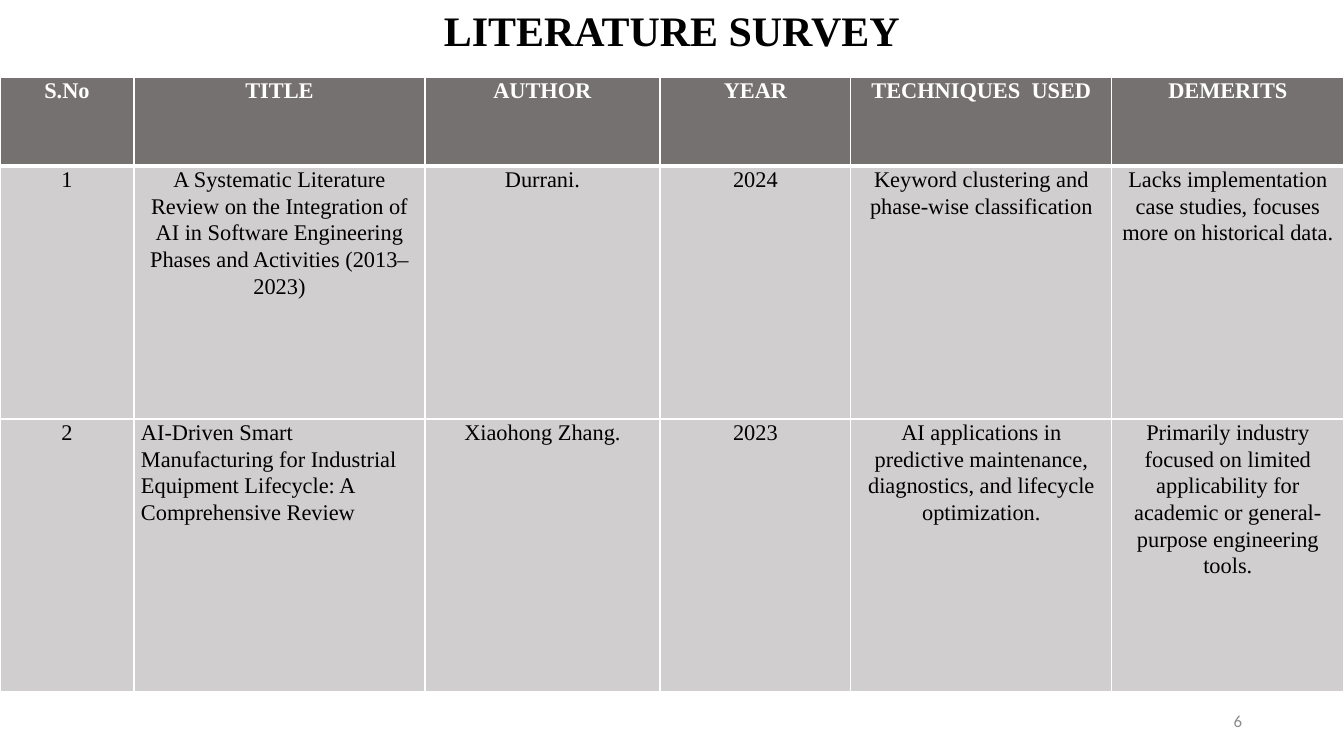
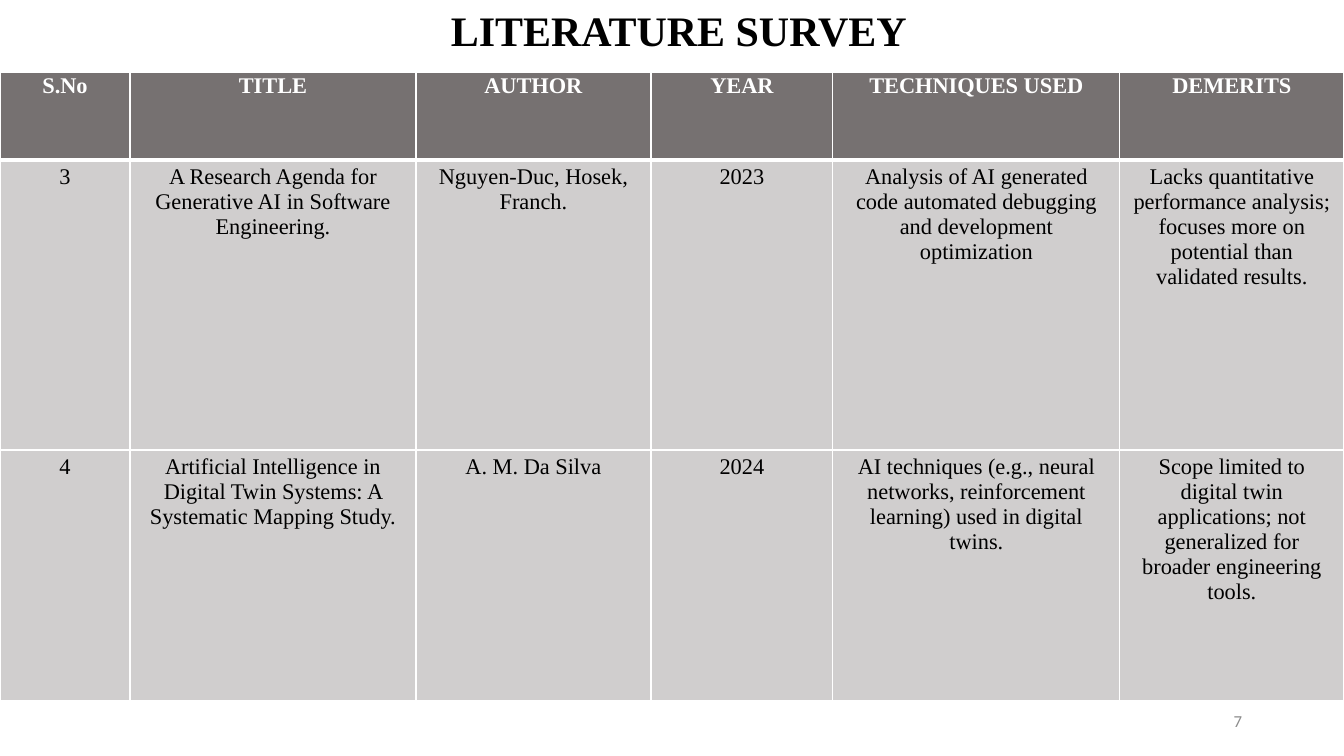
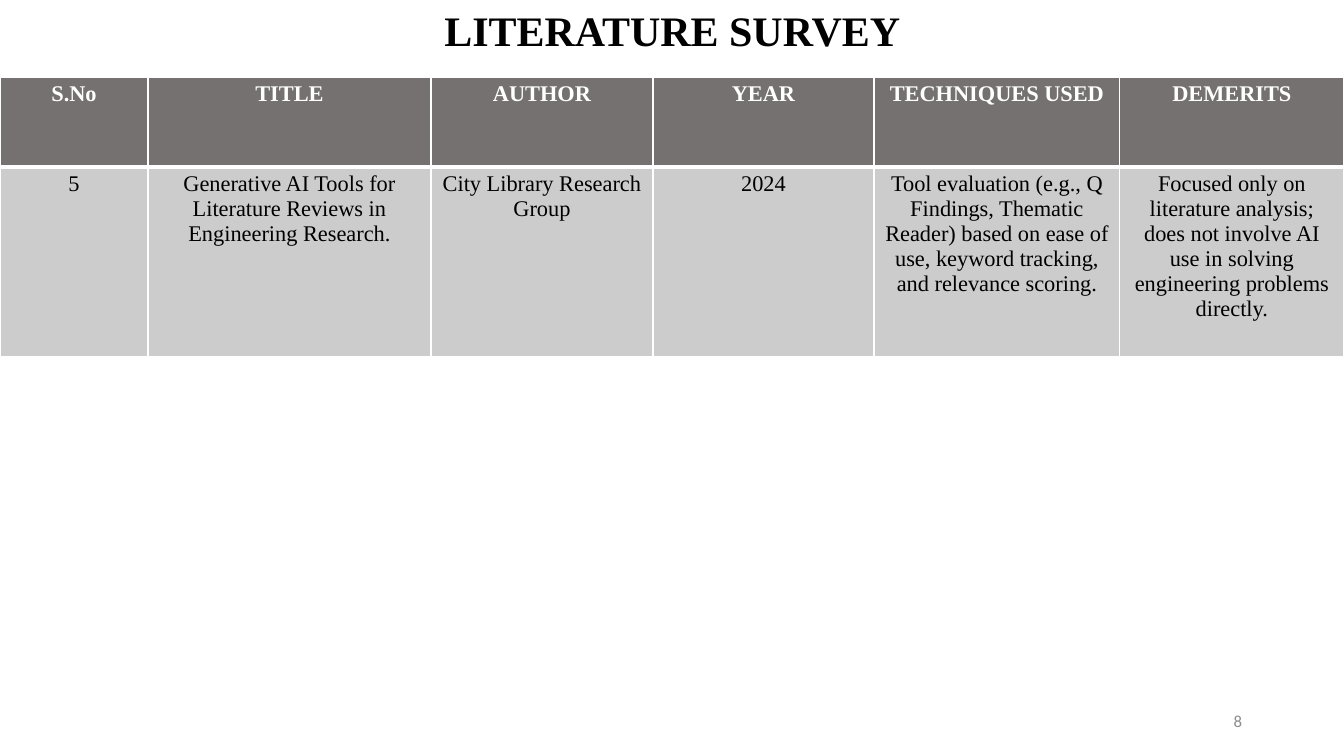
from dataclasses import dataclass

from lxml.etree import SubElement
from pptx import Presentation
from pptx.dml.color import RGBColor
from pptx.enum.text import MSO_ANCHOR as Anchor, PP_ALIGN as Align
from pptx.oxml.ns import qn
from pptx.slide import Slide
from pptx.table import _Cell as Cell
from pptx.text.text import TextFrame
from pptx.util import Emu, Pt

SLIDE_W, SLIDE_H = 1344, 756
EMU_PER_PX = 12192000 / SLIDE_W

COLORS = {
    "ink": "000000",
    "paper": "FFFFFF",
    "header": "767171",
    "body": "D0CECE",
    "body_light": "CCCCCC",
    "page_number": "8C8C8C",
}
SERIF, SANS = "Times New Roman", "Calibri"
THIN, THICK = 1, 3  # border widths in points


@dataclass(frozen=True)
class Box:
    left: int
    top: int
    width: int
    height: int


@dataclass(frozen=True)
class CellStyle:
    inset_x: int
    inset_y: int
    line_spacing: float | None = None
    space_after: int = 0


@dataclass(frozen=True)
class Heading:
    box: Box
    anchor: Anchor = Anchor.TOP
    line_spacing: float | None = None


@dataclass(frozen=True)
class Survey:
    page: int
    heading: Heading
    table_top: int
    columns: tuple[int, ...]
    row_heights: tuple[int, ...]
    papers: tuple[tuple[str, ...], ...]
    header_style: CellStyle
    body_style: CellStyle
    body_fill: str = "body"
    techniques_label: str = "TECHNIQUES USED"
    left_aligned: tuple[str, ...] = ()


PAGE_BOX = Box(950, 701, 302, 40)
SPACED = CellStyle(7, 0, line_spacing=1.07, space_after=8)
PLAIN = CellStyle(10, 5)
SMART_MANUFACTURING = ("AI-Driven Smart Manufacturing for Industrial Equipment "
                       "Lifecycle: A Comprehensive Review")

SURVEYS = (
    Survey(
        page=6,
        heading=Heading(Box(324, 0, 696, 61)),
        table_top=77,
        columns=(134, 291, 235, 191, 261, 232),
        row_heights=(89, 253, 273),
        papers=(
            ("1", "A Systematic Literature Review on the Integration of AI in Software "
             "Engineering Phases and Activities (2013–2023)", "Durrani.", "2024",
             "Keyword clustering and phase-wise classification",
             "Lacks implementation case studies, focuses more on historical data."),
            ("2", SMART_MANUFACTURING, "Xiaohong Zhang.", "2023",
             "AI applications in predictive maintenance, diagnostics, and lifecycle "
             "optimization.",
             "Primarily industry focused on limited applicability for academic or "
             "general-purpose engineering tools."),
        ),
        header_style=SPACED,
        body_style=SPACED,
        techniques_label="TECHNIQUES  USED",
        left_aligned=(SMART_MANUFACTURING,),
    ),
    Survey(
        page=7,
        heading=Heading(Box(409, 0, 540, 92)),
        table_top=72,
        columns=(130, 286, 235, 182, 287, 224),
        row_heights=(88, 290, 251),
        papers=(
            ("3", "A Research Agenda for Generative AI in Software Engineering.",
             "Nguyen-Duc, Hosek, Franch.", "2023",
             "Analysis of AI generated code automated debugging and development "
             "optimization",
             "Lacks quantitative performance analysis; focuses more on potential than "
             "validated results."),
            ("4", "Artificial Intelligence in Digital Twin Systems: A Systematic Mapping "
             "Study.", "A. M. Da Silva", "2024",
             "AI techniques (e.g., neural networks, reinforcement learning) used in "
             "digital twins.",
             "Scope limited to digital twin applications; not generalized for broader "
             "engineering tools."),
        ),
        header_style=SPACED,
        body_style=PLAIN,
    ),
    Survey(
        page=8,
        heading=Heading(Box(93, -9, 1159, 84), Anchor.MIDDLE, 0.9),
        table_top=77,
        columns=(148, 283, 222, 221, 246, 224),
        row_heights=(90, 190),
        papers=(
            ("5", "Generative AI Tools for Literature Reviews in Engineering Research.",
             "City Library Research Group", "2024",
             "Tool evaluation (e.g., Q Findings, Thematic Reader) based on ease of use, "
             "keyword tracking, and relevance scoring.",
             "Focused only on literature analysis; does not involve AI use in solving "
             "engineering problems directly."),
        ),
        header_style=PLAIN,
        body_style=PLAIN,
        body_fill="body_light",
    ),
)


def px(length: int) -> Emu:
    return Emu(round(length * EMU_PER_PX))


def write(frame: TextFrame, text: str, *, size: int, color: str = "ink",
          font: str = SERIF, bold: bool = False, align: Align = Align.CENTER,
          line_spacing: float | None = None, space_after: int = 0) -> None:
    paragraph = frame.paragraphs[0]
    paragraph.alignment = align
    paragraph.line_spacing = line_spacing
    paragraph.space_after = Pt(space_after)
    run = paragraph.add_run()
    run.text = text
    run.font.name = font
    run.font.size = Pt(size)
    run.font.bold = bold
    run.font.color.rgb = RGBColor.from_string(COLORS[color])


def add_text_frame(slide: Slide, box: Box, anchor: Anchor) -> TextFrame:
    area = map(px, (box.left, box.top, box.width, box.height))
    frame = slide.shapes.add_textbox(*area).text_frame
    frame.word_wrap = True
    frame.vertical_anchor = anchor
    return frame


def set_borders(cell: Cell, top: int, bottom: int) -> None:
    properties = cell._tc.get_or_add_tcPr()
    widths = {"lnL": THIN, "lnR": THIN, "lnT": top, "lnB": bottom}
    for side, width in widths.items():
        line = SubElement(properties, qn(f"a:{side}"), w=str(Pt(width)))
        fill = SubElement(line, qn("a:solidFill"))
        SubElement(fill, qn("a:srgbClr"), val=COLORS["paper"])


def format_cell(cell: Cell, style: CellStyle, fill: str) -> None:
    cell.margin_left = cell.margin_right = px(style.inset_x)
    cell.margin_top = cell.margin_bottom = px(style.inset_y)
    cell.fill.solid()
    cell.fill.fore_color.rgb = RGBColor.from_string(COLORS[fill])


def add_survey_table(slide: Slide, survey: Survey) -> None:
    labels = ("S.No", "TITLE", "AUTHOR", "YEAR", survey.techniques_label, "DEMERITS")
    rows = (labels, *survey.papers)
    table = slide.shapes.add_table(
        len(rows), len(labels), px(0), px(survey.table_top),
        px(sum(survey.columns)), px(sum(survey.row_heights))).table
    table.horz_banding = False
    for column, width in zip(table.columns, survey.columns):
        column.width = px(width)

    for r, (entries, height) in enumerate(zip(rows, survey.row_heights)):
        table.rows[r].height = px(height)
        is_header = r == 0
        style = survey.header_style if is_header else survey.body_style
        for c, entry in enumerate(entries):
            cell = table.cell(r, c)
            # The thick rule lies between the header and the first paper
            set_borders(cell, top=THICK if r == 1 else THIN,
                        bottom=THICK if is_header else THIN)
            format_cell(cell, style, "header" if is_header else survey.body_fill)
            write(cell.text_frame, entry, size=16, bold=is_header,
                  color="paper" if is_header else "ink",
                  align=Align.LEFT if entry in survey.left_aligned else Align.CENTER,
                  line_spacing=style.line_spacing, space_after=style.space_after)


def add_survey_slide(deck: Presentation, survey: Survey) -> None:
    slide = deck.slides.add_slide(deck.slide_layouts[6])
    # Heading
    heading = survey.heading
    write(add_text_frame(slide, heading.box, heading.anchor), "LITERATURE SURVEY",
          size=30, bold=True, line_spacing=heading.line_spacing)
    # Papers
    add_survey_table(slide, survey)
    # Page number
    write(add_text_frame(slide, PAGE_BOX, Anchor.MIDDLE), str(survey.page),
          size=12, color="page_number", font=SANS, align=Align.RIGHT)


def main() -> None:
    deck = Presentation()
    deck.slide_width, deck.slide_height = px(SLIDE_W), px(SLIDE_H)
    for survey in SURVEYS:
        add_survey_slide(deck, survey)
    deck.save("out.pptx")


if __name__ == "__main__":
    main()
